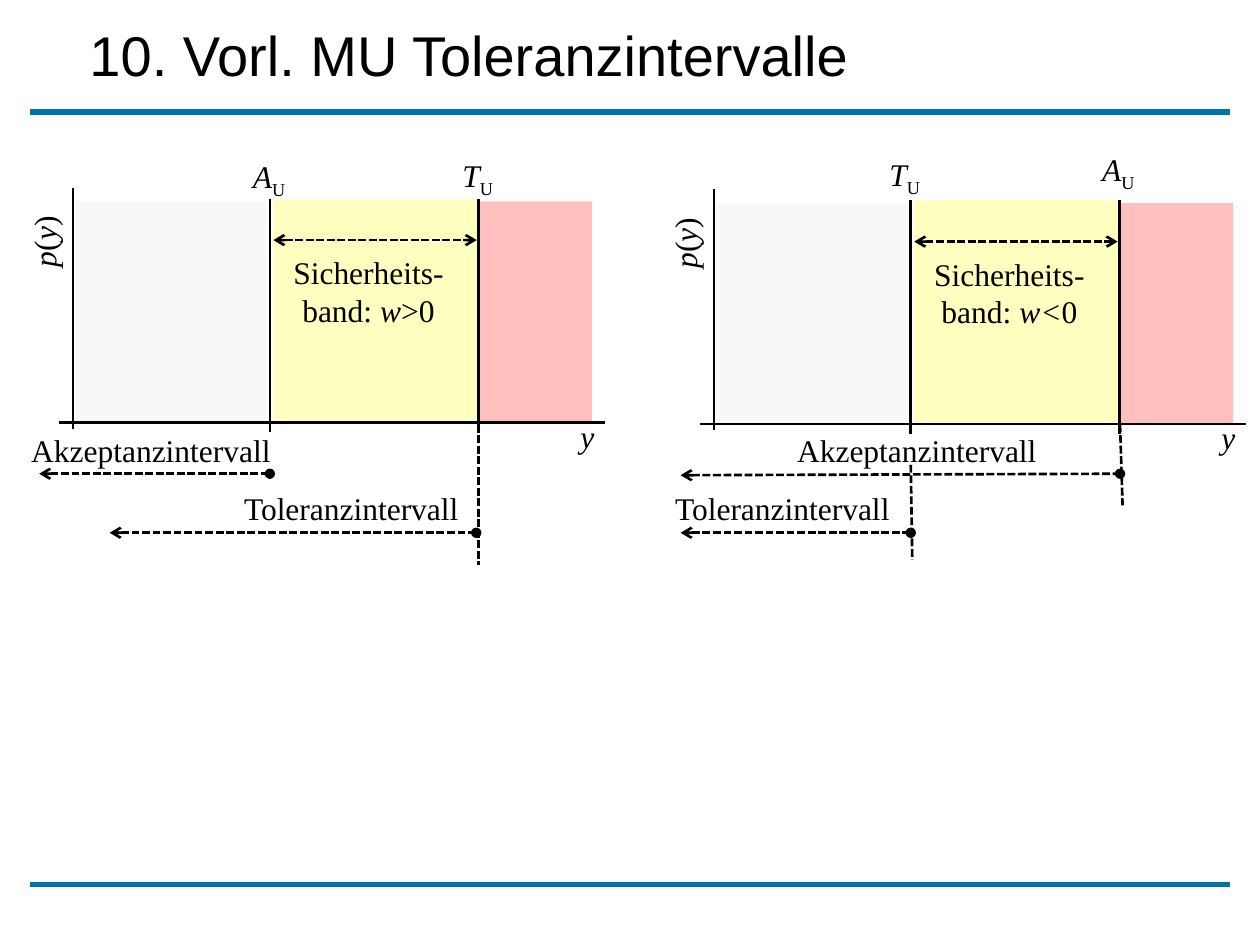
from lxml import etree
from pptx import Presentation
from pptx import util as u
from pptx.dml.color import RGBColor
from pptx.enum import dml, shapes, text
from pptx.oxml.ns import qn

SHIFT_X, SHIFT_Y = 12.92, 0.03
LABEL_H = 1.02
A_U = [[("A", "i"), ("U", "sub")]]
T_U = [[("T", "i"), ("U", "sub")]]
DENSITY = [[("p", "i"), ("(", ""), ("y", "i"), (")", "")]]


def paint(color, value):
    """Set a hex colour on a fill, line or font colour."""
    color.rgb = RGBColor.from_string(value)


def add_title(s, value):
    """Place and format the title placeholder."""
    sp = s.shapes.title
    sp.left, sp.top, sp.width, sp.height = map(u.Cm, (1.55, 0.1, 21.18, 2.16))
    tf = sp.text_frame
    tf.text = value
    tf.auto_size = text.MSO_AUTO_SIZE.NONE
    tf.vertical_anchor = text.MSO_ANCHOR.MIDDLE
    p = tf.paragraphs[0]
    p.alignment, p.line_spacing = text.PP_ALIGN.LEFT, 0.9
    font = p.runs[0].font
    font.name, font.size = "Arial", u.Pt(32)
    paint(font.color, "000000")


def add_region(s, x, y, w, h, color):
    """Add a rectangle filled at a quarter of full opacity."""
    sp = s.shapes.add_shape(shapes.MSO_SHAPE.RECTANGLE, *map(u.Cm, (x, y, w, h)))
    sp.shadow.inherit = False
    sp.line.fill.background()
    sp.fill.solid()
    paint(sp.fill.fore_color, color)
    clr = sp.fill._xPr.find(qn("a:solidFill"))[0]
    etree.SubElement(clr, qn("a:alpha"), val="25000")


def add_line(s, x1, y1, x2, y2, color="000000", width=1.5, dashed=False, head=None, tail=None):
    """Add a straight line with optional dashes and end marks."""
    ln = s.shapes.add_connector(shapes.MSO_CONNECTOR.STRAIGHT, *map(u.Cm, (x1, y1, x2, y2)))
    paint(ln.line.color, color)
    ln.line.width = u.Pt(width)
    if dashed:
        ln.line.dash_style = dml.MSO_LINE.SQUARE_DOT
    for tag, mark in (("a:headEnd", head), ("a:tailEnd", tail)):
        if mark:
            etree.SubElement(ln.line._get_or_add_ln(), qn(tag), type=mark)
    etree.SubElement(ln._element.spPr, qn("a:effectLst"))


def add_label(s, x, y, w, lines, h=LABEL_H, align=text.PP_ALIGN.LEFT, rotation=0):
    """Add a text box whose lines are lists of (text, style) runs."""
    sp = s.shapes.add_textbox(*map(u.Cm, (x, y, w, h)))
    sp.rotation = rotation
    tf = sp.text_frame
    tf.word_wrap = False
    tf.auto_size = text.MSO_AUTO_SIZE.SHAPE_TO_FIT_TEXT
    for i, line in enumerate(lines):
        p = tf.add_paragraph() if i else tf.paragraphs[0]
        p.alignment = align
        for value, style in line:
            r = p.add_run()
            r.text = value
            r.font.name, r.font.size = "Times New Roman", u.Pt(18)
            r.font.italic = style == "i"
            paint(r.font.color, "000000")
            if style == "sub":
                r.font._element.set("baseline", "-25000")


def add_diagram(s, dx, dy, condition):
    """Draw the regions, axes, limits and safety band of one diagram."""
    add_region(s, 5.51 + dx, 4.01 + dy, 4.14, 4.47, "FFFF00")
    add_region(s, 1.52 + dx, 4.06 + dy, 3.86, 4.47, "E7E6E6")
    add_region(s, 9.65 + dx, 4.06 + dy, 2.29, 4.45, "FF0000")
    add_line(s, 1.19 + dx, 8.52 + dy, 12.19 + dx, 8.52 + dy)
    add_line(s, 1.47 + dx, 8.64 + dy, 1.47 + dx, 3.78 + dy)
    for limit in (5.44, 9.65):
        add_line(s, limit + dx, 4.01 + dy, limit + dx, 8.71 + dy)
    add_line(s, 5.51 + dx, 4.84 + dy, 9.61 + dx, 4.84 + dy,
             dashed=True, head="arrow", tail="arrow")
    add_label(s, 5.64 + dx, 4.98 + dy, 3.58,
              [[("Sicherheits-", "")], [("band: ", "")] + condition],
              h=1.8, align=text.PP_ALIGN.CENTER)
    add_label(s, 0.1 + dx, 4.34 + dy, 1.57, DENSITY, rotation=270)
    add_label(s, 11.45 + dx, 8.28 + dy, 0.79, [[("y", "i")]])


def add_interval(s, name, x1, y1, x2, y2, label_x, label_y, label_w):
    """Add a named interval that is open on the left and closed on the right."""
    add_line(s, x1, y1, x2, y2, dashed=True, head="arrow", tail="oval")
    add_label(s, label_x, label_y, label_w, [[(name, "")]])


def main():
    """Build the slide and save it."""
    prs = Presentation()
    prs.slide_width, prs.slide_height = u.Cm(25.4), u.Cm(19.05)
    s = prs.slides.add_slide(prs.slide_layouts[5])
    for y in (2.26, 17.83):
        add_line(s, 0.6, y, 24.79, y, color="0073AA", width=3)
    add_title(s, "10. Vorl. MU Toleranzintervalle")
    add_diagram(s, 0, 0, [("w", "i"), (">0", "")])
    add_diagram(s, SHIFT_X, SHIFT_Y, [("w<", "i"), ("0", "")])
    for x, y, limit in ((4.85, 3.05, A_U), (9.07, 3.02, T_U),
                        (17.68, 3, T_U), (21.97, 2.9, A_U)):
        add_label(s, x, y, 1.2, limit)
    for ends, label_x in (((0.79, 9.55, 5.44, 9.55), 0.38),
                          ((13.72, 9.58, 22.58, 9.55), 15.82)):
        add_interval(s, "Akzeptanzintervall", *ends, label_x, 8.56, 5.38)
    for x1, x2, label_x in ((2.21, 9.6, 4.67), (13.72, 18.36, 13.36)):
        add_interval(s, "Toleranzintervall", x1, 10.74, x2, 10.74, label_x, 9.73, 4.88)
    for drop in ((9.65, 8.56, 9.65, 11.38), (22.58, 8.56, 22.63, 10.19),
                 (18.36, 9.37, 18.39, 11.28)):
        add_line(s, *drop, dashed=True)
    prs.save("out.pptx")


main()
